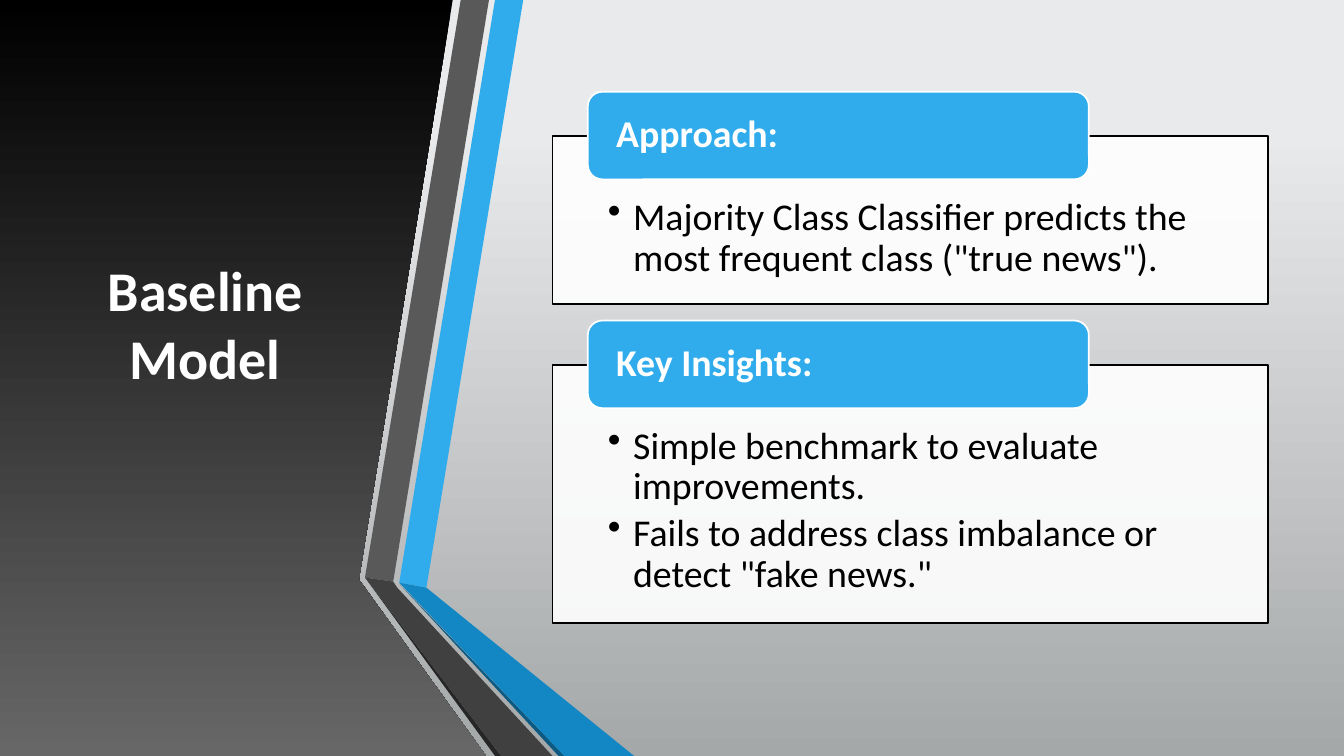
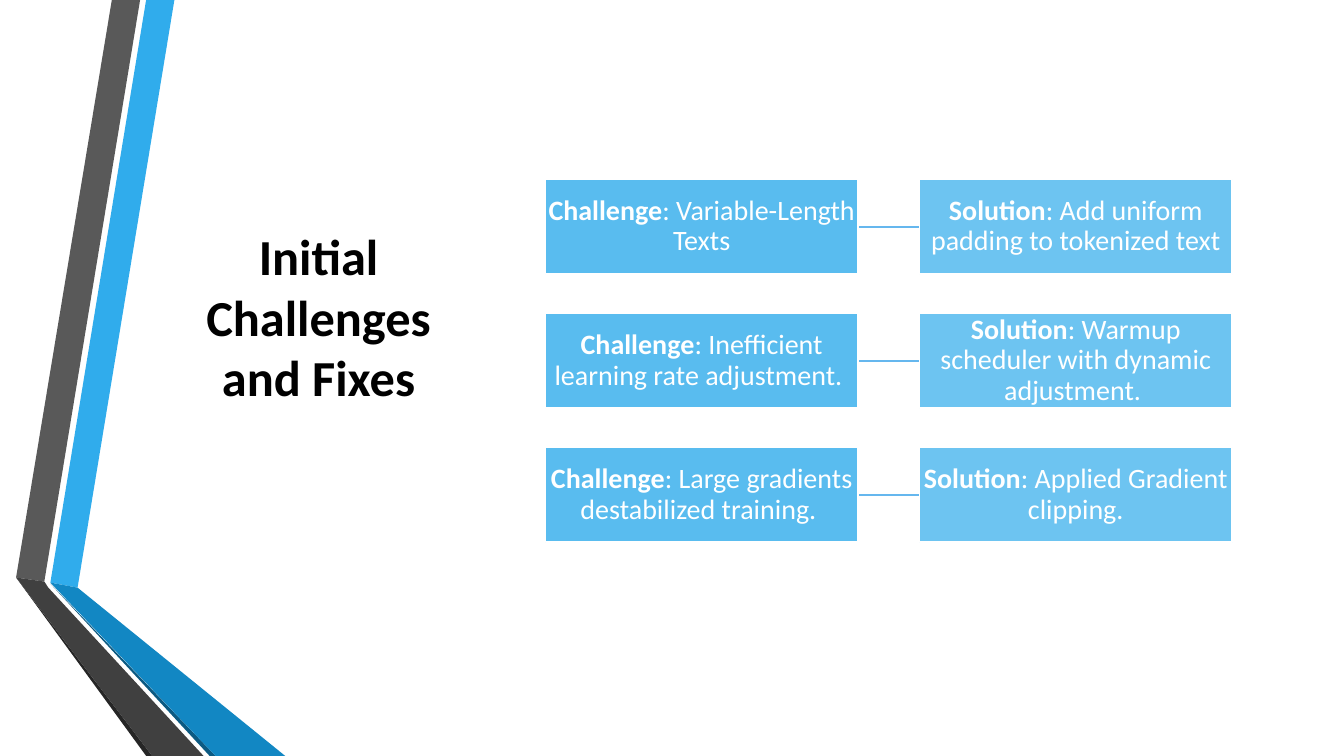
from dataclasses import dataclass

from lxml import etree
from pptx import Presentation
from pptx.dml.color import RGBColor
from pptx.enum.shapes import MSO_CONNECTOR, MSO_SHAPE
from pptx.enum.text import MSO_ANCHOR, PP_ALIGN
from pptx.oxml.ns import qn
from pptx.util import Inches, Pt


@dataclass(frozen=True)
class Theme:
    font: str = "Calibri"
    white: str = "FFFFFF"
    black: str = "000000"
    accent: str = "30ACEC"
    accent_dark: str = "1287C3"
    accent_deep: str = "0C5A82"
    gray: str = "595959"
    gray_dark: str = "404040"
    gray_deep: str = "262626"
    connector: str = "65B7EE"
    backdrop: tuple = ((0.17, "E9EAEB"), (1, "A5A8A9"))
    panel: tuple = ((0, "000000"), (1, "676767"))
    panel_title: int = 40
    plain_title: int = 36
    section_text: int = 27
    pair_text: int = 20
    outline: float = 1.25


THEME = Theme()

RIBBON = (
    (THEME.accent, ((0.5, 5.78), (0.77, 5.83), (1.73, 0), (1.45, 0))),
    (THEME.gray, ((1.39, 0), (1.11, 0), (0.16, 5.73), (0.44, 5.77))),
    (THEME.gray_deep, ((0.16, 5.73), (1.45, 7.5), (1.51, 7.5))),
    (THEME.accent_deep, ((0.5, 5.79), (2.08, 7.5), (2.14, 7.5))),
    (THEME.accent_dark, ((0.5, 5.78), (2.14, 7.5), (2.83, 7.5), (0.77, 5.83))),
    (THEME.gray_dark, ((2.02, 7.5), (0.48, 5.83), (0.44, 5.77), (0.16, 5.73), (1.51, 7.5))),
)
PANEL_OUTLINE = ((0, 0), (4.49, 0), (3.56, 5.75), (4.82, 7.5), (0, 7.5))


class Deck:
    def __init__(self, theme):
        self.theme = theme
        self.prs = Presentation()
        self.prs.slide_width = Inches(13.33)
        self.prs.slide_height = Inches(7.5)
        self.slide = None

    def new_slide(self):
        self.slide = self.prs.slides.add_slide(self.prs.slide_layouts[6])
        return self.slide.background.fill

    def solid(self, fill, color, opacity=100):
        fill.solid()
        fill.fore_color.rgb = RGBColor.from_string(color)
        if opacity < 100:
            for tone in fill._xPr.iter(qn("a:srgbClr")):
                etree.SubElement(tone, qn("a:alpha"), val=str(opacity * 1000))

    def gradient(self, fill, stops):
        fill.gradient()
        fill.gradient_angle = 270
        for stop, (position, color) in zip(fill.gradient_stops, stops):
            stop.position = position
            stop.color.rgb = RGBColor.from_string(color)

    def outline(self, points, shift=0):
        corners = [(Inches(x + shift), Inches(y)) for x, y in points]
        builder = self.slide.shapes.build_freeform(*corners[0])
        builder.add_line_segments(corners[1:], close=True)
        shape = builder.convert_to_shape()
        shape.shadow.inherit = False
        shape.line.fill.background()
        return shape.fill

    def ribbon(self, shift=0):
        for color, points in RIBBON:
            self.solid(self.outline(points, shift), color)

    def box(self, preset, area, fill, line, opacity=100):
        shape = self.slide.shapes.add_shape(preset, *map(Inches, area))
        shape.shadow.inherit = False
        self.solid(shape.fill, fill, opacity)
        shape.line.color.rgb = RGBColor.from_string(line)
        shape.line.width = Pt(self.theme.outline)
        return shape

    def set_text(self, shape, paragraphs, size, color, insets, align=PP_ALIGN.LEFT,
                 anchor=MSO_ANCHOR.MIDDLE, spacing=0.9, bold=None, bullets=False):
        frame = shape.text_frame
        frame.word_wrap = True
        frame.vertical_anchor = anchor
        (frame.margin_left, frame.margin_top,
         frame.margin_right, frame.margin_bottom) = map(Inches, insets)
        for index, runs in enumerate(paragraphs):
            paragraph = frame.add_paragraph() if index else frame.paragraphs[0]
            paragraph.alignment = align
            paragraph.line_spacing = spacing
            if bullets:
                paragraph.space_after = Pt(4)
                properties = paragraph._p.get_or_add_pPr()
                properties.set("marL", str(Inches(0.25)))
                properties.set("indent", str(-Inches(0.25)))
                etree.SubElement(properties, qn("a:buChar"), char="•")
            font = paragraph.font
            font.name = self.theme.font
            font.size = Pt(size)
            font.bold = bold
            font.color.rgb = RGBColor.from_string(color)
            for text, strong in runs:
                run = paragraph.add_run()
                run.text = text
                if strong:
                    run.font.bold = True

    def title(self, text, area, size, color, bottom):
        box = self.slide.shapes.add_textbox(*map(Inches, area))
        self.set_text(box, [[(text, False)]], size, color, (0.1, 0.05, 0.1, bottom),
                      align=PP_ALIGN.CENTER, spacing=1.0, bold=True)

    def section(self, heading, points, top, height):
        theme = self.theme
        body = self.box(MSO_SHAPE.RECTANGLE, (5.48, top, 7.1, height),
                        theme.white, theme.black, opacity=90)
        self.set_text(body, [[(point, False)] for point in points], theme.section_text,
                      theme.black, (0.55, 0.61, 0.55, 0.21), anchor=MSO_ANCHOR.TOP,
                      bullets=True)
        tab = self.box(MSO_SHAPE.ROUNDED_RECTANGLE, (5.83, top - 0.44, 4.97, 0.87),
                       theme.accent, theme.white)
        self.set_text(tab, [[(heading, False)]], theme.section_text, theme.white,
                      (0.24, 0, 0.24, 0), bold=True)

    def connector(self):
        link = self.slide.shapes.add_connector(MSO_CONNECTOR.STRAIGHT, 0, 0, 0, 0)
        link.line.color.rgb = RGBColor.from_string(self.theme.connector)
        link.line.width = Pt(self.theme.outline)
        etree.SubElement(link._element.spPr, qn("a:effectLst"))
        return link

    def pair_card(self, label, text, left, top, opacity):
        theme = self.theme
        card = self.box(MSO_SHAPE.RECTANGLE, (left, top, 3.1, 0.94),
                        theme.accent, theme.white, opacity)
        self.set_text(card, [[(label, True), (f": {text}", False)]], theme.pair_text,
                      theme.white, (0.01,) * 4, align=PP_ALIGN.CENTER)
        return card

    def pair(self, challenge, solution, top):
        link = self.connector()
        problem = self.pair_card("Challenge", challenge, 5.41, top, 80)
        remedy = self.pair_card("Solution", solution, 9.12, top, 70)
        link.begin_connect(problem, 3)
        link.end_connect(remedy, 1)


def baseline_slide(deck):
    theme = deck.theme
    deck.gradient(deck.new_slide(), theme.backdrop)
    deck.gradient(deck.outline(PANEL_OUTLINE), theme.panel)
    deck.title("Baseline Model", (0.59, 0.75, 2.89, 5.58),
               theme.panel_title, theme.white, bottom=0.72)
    deck.ribbon(shift=3.46)
    sections = (
        ("Approach:", 1.67,
         ['Majority Class Classifier predicts the most frequent class ("true news").']),
        ("Key Insights:", 2.56,
         ["Simple benchmark to evaluate improvements.",
          'Fails to address class imbalance or detect "fake news."']),
    )
    top = 1.35
    for heading, height, points in sections:
        deck.section(heading, points, top, height)
        top += height + 0.6


def challenges_slide(deck):
    theme = deck.theme
    deck.solid(deck.new_slide(), theme.white)
    deck.ribbon()
    deck.title("Initial Challenges and Fixes", (1.62, 1.4, 3.08, 4.07),
               theme.plain_title, theme.black, bottom=0.65)
    pairs = (
        ("Variable-Length Texts", "Add uniform padding to tokenized text"),
        ("Inefficient learning rate adjustment. ",
         "Warmup scheduler with dynamic adjustment. "),
        ("Large gradients destabilized training. ", "Applied Gradient clipping."),
    )
    for row, (challenge, solution) in enumerate(pairs):
        deck.pair(challenge, solution, 1.78 + row * 1.33)


def main():
    deck = Deck(THEME)
    baseline_slide(deck)
    challenges_slide(deck)
    deck.prs.save("out.pptx")


if __name__ == "__main__":
    main()
